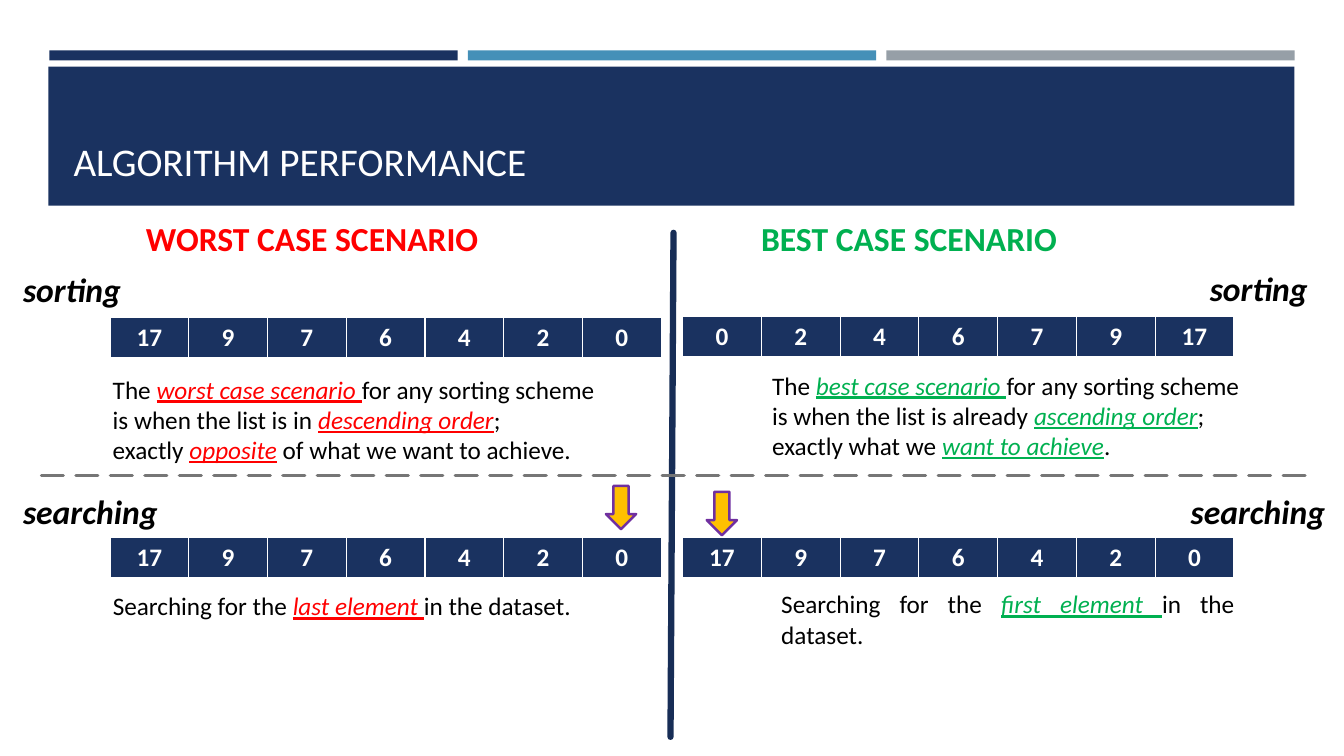
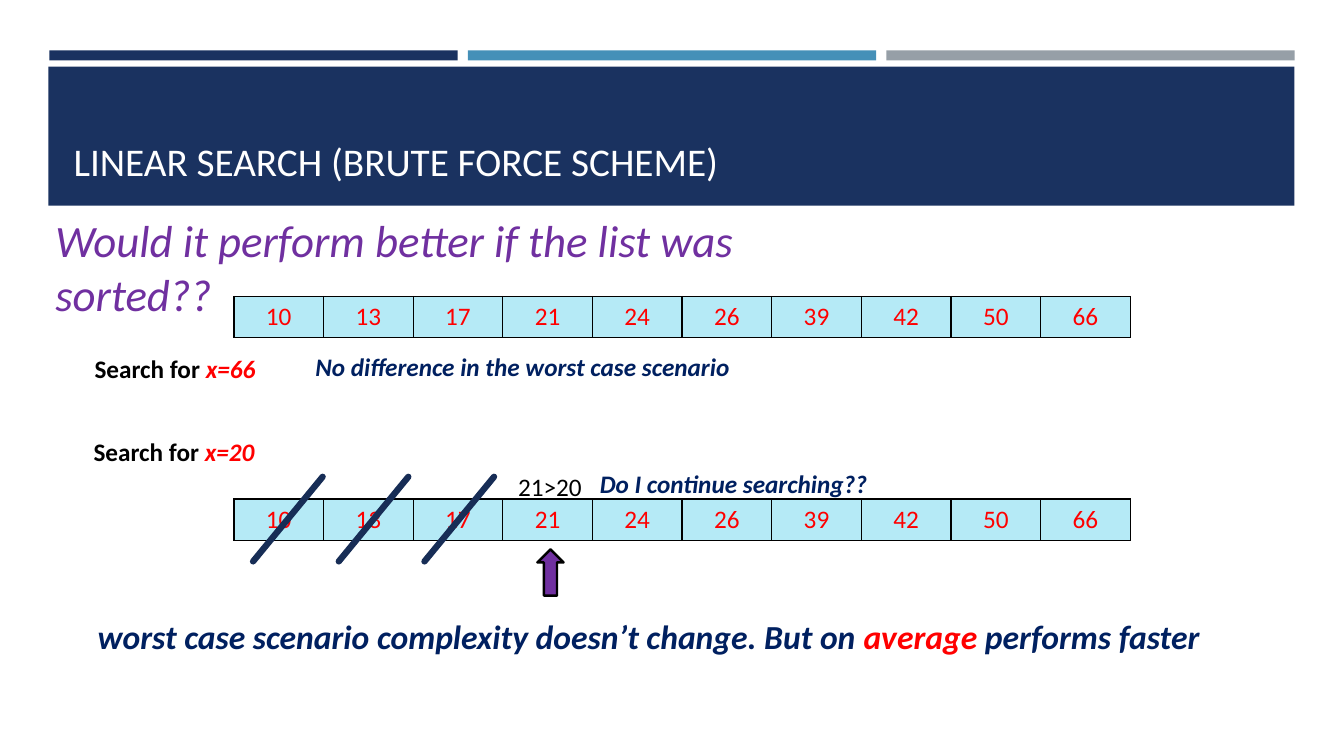
from lxml.etree import SubElement
from pptx import Presentation
from pptx.dml.color import RGBColor
from pptx.enum.dml import MSO_LINE_DASH_STYLE as Dash
from pptx.enum.shapes import MSO_CONNECTOR, MSO_SHAPE
from pptx.enum.text import MSO_ANCHOR, PP_ALIGN
from pptx.oxml.ns import qn
from pptx.util import Inches, Pt

FONT = "Calibri"
NAVY = RGBColor(0x1A, 0x32, 0x60)
DARK_NAVY = RGBColor(0x17, 0x2D, 0x56)
INK_BLUE = RGBColor(0x00, 0x20, 0x60)
BLUE = RGBColor(0x45, 0x90, 0xB8)
SILVER = RGBColor(0x96, 0x9F, 0xA7)
GRAY = RGBColor(0x76, 0x76, 0x76)
PALE_BLUE = RGBColor(0xB5, 0xEA, 0xF6)
PURPLE = RGBColor(0x70, 0x30, 0xA0)
GOLD = RGBColor(0xFF, 0xC0, 0x00)
RED = RGBColor(0xFF, 0x00, 0x00)
GREEN = RGBColor(0x00, 0xB0, 0x50)
BLACK = RGBColor(0x00, 0x00, 0x00)
WHITE = RGBColor(0xFF, 0xFF, 0xFF)

PLAIN = {"size": Pt(18), "color": BLACK}
BOLD = {**PLAIN, "bold": True}
BOLD_RED = {**BOLD, "color": RED, "italic": True}
REMARK = {**BOLD, "color": INK_BLUE, "italic": True}
LABEL = {"size": Pt(24), "color": BLACK, "bold": True, "italic": True}
CONCLUSION = {**LABEL, "color": INK_BLUE}
QUESTION = {"size": Pt(32), "color": PURPLE, "italic": True}
TITLE = {"size": Pt(28), "color": WHITE}


def marked(color):
    return {**PLAIN, "color": color, "italic": True, "underline": True}


DESCENDING = [17, 9, 7, 6, 4, 2, 0]
SORTED_LIST = [10, 13, 17, 21, 24, 26, 39, 42, 50, 66]

# Boxes are (left, top, width, height) in inches; odd pieces of a line are marked.
SCENARIOS = [
    {
        "heading": ("WORST CASE SCENARIO", (1.35, 2.11, 4.53, 0.5)),
        "color": RED,
        "labels": [("sorting", (0.13, 2.62, 1.21, 0.5)),
                   ("searching", (0.13, 4.82, 1.59, 0.5))],
        "table_left": 1.09,
        "tables": [(DESCENDING, 3.15), (DESCENDING, 5.33)],
        "notes": [
            ((1.02, 3.66, 5.17, 1.01), [
                ["The ", "worst case scenario ", "for any sorting scheme"],
                ["is when the list is in ", "descending order", ";"],
                ["exactly ", "opposite", " of what we want to achieve."]]),
            ((1.02, 5.81, 4.75, 0.4), [
                ["Searching for the ", "last element ", "in the dataset."]]),
        ],
        "arrow": (6.01, 4.82, 0.3, 0.43),
    },
    {
        "heading": ("BEST CASE SCENARIO", (7.45, 2.11, 4.08, 0.5)),
        "color": GREEN,
        "labels": [("sorting", (11.9, 2.61, 1.21, 0.5)),
                   ("searching", (11.71, 4.82, 1.59, 0.5))],
        "table_left": 6.77,
        "tables": [(DESCENDING[::-1], 3.14), (DESCENDING, 5.33)],
        "notes": [
            ((7.56, 3.62, 4.93, 1.01), [
                ["The ", "best case scenario ", "for any sorting scheme"],
                ["is when the list is already ", "ascending order", ";"],
                ["exactly what we ", "want to achieve", "."]]),
            ((7.65, 5.79, 4.69, 0.4), [
                ["Searching for the ", "first element ", "in the dataset."]]),
        ],
        "arrow": (7.01, 4.88, 0.3, 0.43),
    },
]

SEARCH_TEXTS = [
    ((0.45, 2.06, 8.16, 0.64),
     [("Would it perform better if the list was sorted??", QUESTION)]),
    ((0.84, 3.46, 2.03, 0.4), [("Search for ", BOLD), ("x=66", BOLD_RED)]),
    ((3.03, 3.44, 4.77, 0.4),
     [("No difference in the worst case scenario", REMARK)]),
    ((0.83, 4.28, 2.05, 0.4), [("Search for ", BOLD), ("x=20", BOLD_RED)]),
    ((5.04, 4.63, 0.85, 0.4), [("21>20", PLAIN)]),
    ((5.85, 4.6, 2.98, 0.4), [("Do I continue searching??", REMARK)]),
    ((0.87, 6.06, 11.82, 0.5),
     [("worst case scenario complexity doesn’t change. But on ", CONCLUSION),
      ("average", {**CONCLUSION, "color": RED}),
      (" performs faster", CONCLUSION)]),
]


def inches(values):
    return [Inches(value) for value in values]


def add_span(para, text, style):
    span = para.add_run()
    span.text = text
    span.font.name = FONT
    for name, value in style.items():
        if name == "color":
            span.font.color.rgb = value
        else:
            setattr(span.font, name, value)


def add_text(slide, place, paragraphs, align=PP_ALIGN.LEFT):
    """Add a text box; each paragraph is a list of (text, style) spans."""
    frame = slide.shapes.add_textbox(*inches(place)).text_frame
    frame.word_wrap = True
    for index, spans in enumerate(paragraphs):
        para = frame.add_paragraph() if index else frame.paragraphs[0]
        para.alignment = align
        for text, style in spans:
            add_span(para, text, style)


def add_block(slide, kind, place, fill, outline=None):
    block = slide.shapes.add_shape(kind, *inches(place))
    block.shadow.inherit = False
    block.fill.solid()
    block.fill.fore_color.rgb = fill
    if outline is None:
        block.line.fill.background()
    else:
        block.line.color.rgb = outline
        block.line.width = Pt(1.75)
    return block


def add_line(slide, start, end, color, width, dash=None):
    line = slide.shapes.add_connector(
        MSO_CONNECTOR.STRAIGHT, *inches(start + end))
    line.line.color.rgb = color
    line.line.width = Pt(width)
    if dash:
        line.line.dash_style = dash
    properties = line.element.spPr
    properties.find(qn("a:ln")).set("cap", "rnd")
    SubElement(properties, qn("a:effectLst"))


def set_borders(cell, color, widths):
    """Draw cell borders; widths are points for left, right, top, bottom."""
    properties = cell._tc.get_or_add_tcPr()
    for index, (side, width) in enumerate(zip("LRTB", widths)):
        border = SubElement(properties, qn(f"a:ln{side}"), w=str(Pt(width)))
        fill = SubElement(border, qn("a:solidFill"))
        SubElement(fill, qn("a:srgbClr"), val=str(color))
        properties.insert(index, border)


def add_number_row(slide, numbers, place, fill, style, border, widths):
    table = slide.shapes.add_table(1, len(numbers), *inches(place)).table
    for column, number in enumerate(numbers):
        table.columns[column].width = Inches(place[2] / len(numbers))
        cell = table.cell(0, column)
        cell.fill.solid()
        cell.fill.fore_color.rgb = fill
        cell.vertical_anchor = MSO_ANCHOR.MIDDLE
        para = cell.text_frame.paragraphs[0]
        para.alignment = PP_ALIGN.CENTER
        add_span(para, str(number), style)
        set_borders(cell, border, widths)


def add_titled_slide(deck, layout, title):
    slide = deck.slides.add_slide(layout)
    holder = slide.shapes.title
    holder.left, holder.top, holder.width, holder.height = inches(
        (0.63, 0.8, 12.06, 1.08))
    holder.text_frame.vertical_anchor = MSO_ANCHOR.BOTTOM
    para = holder.text_frame.paragraphs[0]
    para.alignment = PP_ALIGN.LEFT
    add_span(para, title, TITLE)
    return slide


def move_bands_to_layout(slide, layout):
    """Draw the shared bands on a slide, then hand them to its layout."""
    bands = [((0.49 + 4.15 * index, 0.5, 4.05, 0.1), color)
             for index, color in enumerate((NAVY, BLUE, SILVER))]
    bands.append(((0.48, 0.66, 12.36, 1.38), NAVY))
    for place, color in bands:
        band = add_block(slide, MSO_SHAPE.RECTANGLE, place, color)
        layout.shapes.element.append(band.element)


def fill_performance(slide):
    add_line(slide, (6.68, 2.31), (6.65, 7.31), DARK_NAVY, 4.5)
    add_line(slide, (0.41, 4.72), (12.96, 4.72), GRAY, 2.25, Dash.LONG_DASH)
    for scenario in SCENARIOS:
        color = scenario["color"]
        heading, place = scenario["heading"]
        heading_style = {"size": Pt(24), "color": color, "bold": True}
        add_text(slide, place, [[(heading, heading_style)]])
        for label, place in scenario["labels"]:
            add_text(slide, place, [[(label, LABEL)]])
        for numbers, top in scenario["tables"]:
            add_number_row(slide, numbers,
                           (scenario["table_left"], top, 5.47, 0.41),
                           NAVY, {**BOLD, "color": WHITE}, WHITE, (1, 1, 1, 3))
        styles = (PLAIN, marked(color), PLAIN)
        for place, lines in scenario["notes"]:
            add_text(slide, place, [list(zip(line, styles)) for line in lines],
                     PP_ALIGN.JUSTIFY)
        add_block(slide, MSO_SHAPE.DOWN_ARROW, scenario["arrow"], GOLD, PURPLE)


def fill_linear_search(slide):
    for top in (2.94, 4.95):
        add_number_row(slide, SORTED_LIST, (2.32, top, 8.89, 0.41), PALE_BLUE,
                       {**PLAIN, "color": RED}, BLACK, (1, 1, 1, 1))
    for place, spans in SEARCH_TEXTS:
        add_text(slide, place, [spans])
    add_block(slide, MSO_SHAPE.UP_ARROW, (5.33, 5.45, 0.26, 0.46),
              PURPLE, BLACK)
    for strike in range(3):
        right = 3.2 + 0.85 * strike
        add_line(slide, (right, 4.73), (right - 0.69, 5.57), DARK_NAVY, 4.5)


def main():
    deck = Presentation()
    deck.slide_width, deck.slide_height = inches((13.33, 7.5))
    layout = deck.slide_layouts[5]
    performance = add_titled_slide(deck, layout, "ALGORITHM PERFORMANCE")
    move_bands_to_layout(performance, layout)
    fill_performance(performance)
    fill_linear_search(add_titled_slide(
        deck, layout, "LINEAR SEARCH (BRUTE FORCE SCHEME)"))
    deck.save("out.pptx")


if __name__ == "__main__":
    main()
